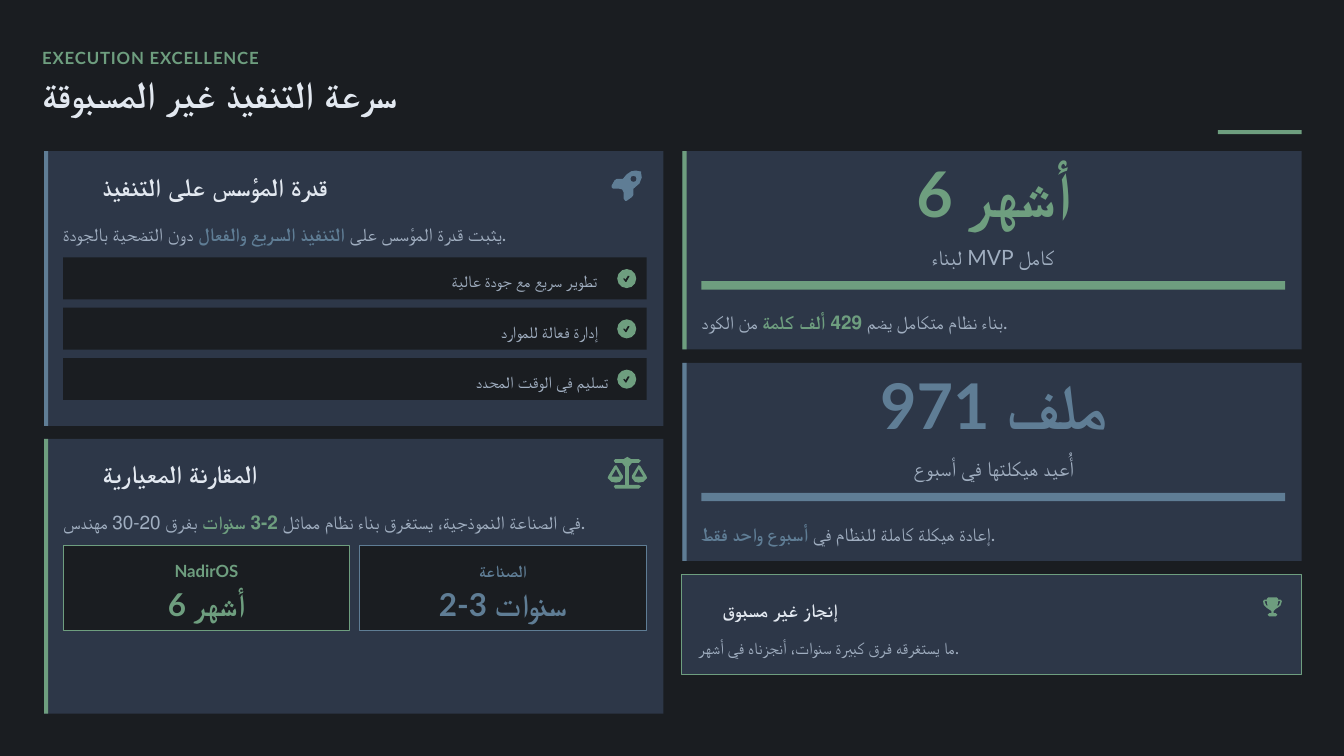
from pptx import Presentation
from pptx.dml.color import RGBColor
from pptx.enum.shapes import MSO_SHAPE as Shape
from pptx.enum.text import MSO_ANCHOR as Anchor, PP_ALIGN as Align
from pptx.util import Cm, Pt

BG, CARD, GREEN, BLUE = "1A1D21", "2D3748", "6E9E7F", "5F7D95"
WHITE, GREY = "E2E8F0", "A0AEC0"
LEFT_X, RIGHT_X, CARD_W = 1.48, 22.93, 20.81
PAD, INNER_W, TEXT_W = 0.64, 19.61, 19.94
UNIT = Cm(0.0254)  # one step of the icon grids


def mirror(points, width):
    return [(width - x, y) for x, y in points]


PAN = [(32, 28), (32, 25), (40, 12), (41, 11), (43, 12), (51, 25), (52, 28),
       (47, 33), (41, 34), (36, 33)]
PAN_HOLE = [(36, 26), (47, 26), (41, 16)]
HANDLE_HOLE = [(5, 5), (2, 5), (4, 10), (6, 12)]
ROCKET = [
    [(10, 26), (2, 26), (0, 24), (0, 22), (4, 15), (7, 13), (15, 13), (20, 7),
     (26, 3), (32, 2), (37, 3), (39, 3), (39, 5), (40, 11), (37, 19), (29, 26),
     (29, 34), (27, 37), (20, 42), (18, 42), (16, 39), (16, 31), (14, 27)],
    [(33, 13), (32, 10), (29, 9), (26, 10), (25, 13), (26, 16), (29, 17), (32, 16)],
]
SCALES = [
    [(31, 3), (41, 3), (44, 5), (41, 8), (32, 8), (28, 13), (28, 37), (41, 37),
     (44, 39), (41, 42), (10, 42), (8, 39), (10, 37), (23, 37), (23, 13), (19, 8),
     (10, 8), (8, 5), (10, 3), (21, 3), (26, 0)],
    PAN, PAN_HOLE, mirror(PAN, 52), mirror(PAN_HOLE, 52),
]
TROPHY = [
    [(7, 0), (18, 0), (20, 2), (20, 3), (23, 3), (25, 5), (23, 11), (19, 14),
     (17, 15), (14, 18), (14, 21), (17, 21), (19, 23), (17, 25), (8, 25), (6, 23),
     (8, 21), (11, 21), (11, 18), (8, 16), (5, 14), (1, 10), (0, 5), (2, 3),
     (5, 3), (5, 2)],
    HANDLE_HOLE, mirror(HANDLE_HOLE, 25),
]
TICK = [[(8, 13), (9, 12), (11, 14), (14, 9), (16, 9), (16, 10), (12, 17), (11, 17)]]


def rgb(color):
    return RGBColor.from_string(color)


def paint(sp, fill, line=None):
    sp.shadow.inherit = False
    sp.fill.solid()
    sp.fill.fore_color.rgb = rgb(fill)
    if line:
        sp.line.color.rgb = rgb(line)
        sp.line.width = Pt(1)
    else:
        sp.line.fill.background()


def add_box(s, x, y, w, h, fill, line=None, kind=Shape.RECTANGLE):
    sp = s.shapes.add_shape(kind, Cm(x), Cm(y), Cm(w), Cm(h))
    paint(sp, fill, line)


def add_icon(s, x, y, contours, color):
    """Draw closed contours, inner ones as holes, from a top-left corner."""
    (first_x, first_y), *rest = contours[0]
    fb = s.shapes.build_freeform(first_x, first_y, scale=UNIT)
    fb.add_line_segments(rest, close=True)
    for start, *points in contours[1:]:
        fb.move_to(*start)
        fb.add_line_segments(points, close=True)
    paint(fb.convert_to_shape(Cm(x), Cm(y)), color)


def add_text(s, x, y, w, h, runs, size, spacing, align=Align.LEFT, track=None):
    """Add one paragraph; runs are (text, color, bold)."""
    tf = s.shapes.add_textbox(Cm(x), Cm(y), Cm(w), Cm(h)).text_frame
    frame = dict(word_wrap=True, vertical_anchor=Anchor.MIDDLE, margin_left=0,
                 margin_right=0, margin_top=0, margin_bottom=0)
    for name, value in frame.items():
        setattr(tf, name, value)
    p = tf.paragraphs[0]
    p.alignment, p.line_spacing = align, spacing
    for text, color, bold in runs:
        r = p.add_run()
        r.text = text
        for name, value in dict(name="Lato", size=Pt(size), bold=bold).items():
            setattr(r.font, name, value)
        r.font.color.rgb = rgb(color)
        if track:
            r.font._element.set("spc", str(track))


def add_card(s, x, y, h, accent):
    add_box(s, x, y, CARD_W, h, CARD)
    add_box(s, x, y, 0.14, h, accent)


def add_sentence(s, x, y, accent, before, strong, after):
    runs = [(before, GREY, False), (strong, accent, True), (after, GREY, False)]
    add_text(s, x, y, TEXT_W, 1.02, runs, 18, 1.4)


def add_stat(s, y, accent, value, label, sentence):
    x = RIGHT_X
    add_card(s, x, y, 6.66, accent)
    add_text(s, x + 0.12, y + 0.56, 20.68, 2.11, [(value, accent, True)], 60, 0.8,
             Align.CENTER)
    add_text(s, x + 0.46, y + 2.96, 19.96, 1, [(label, GREY, False)], 20, 1.2,
             Align.CENTER)
    add_box(s, x + PAD, y + 4.37, INNER_W, 0.28, accent)
    add_sentence(s, x + PAD, y + 5.08, accent, *sentence)


def add_topic(s, y, bar, accent, icon, icon_x, heading, sentence):
    x = LEFT_X
    add_card(s, x, y, 9.23, bar)
    add_icon(s, icon_x, y + 0.6, icon, bar)
    add_text(s, x + 1.97, y + 0.56, 18.69, 1.12, [(heading, WHITE, True)], 24, 1.1)
    add_sentence(s, x + PAD, y + 2.11, accent, *sentence)


def add_check_row(s, y, text, w):
    add_box(s, LEFT_X + PAD, y, INNER_W, 1.41, BG)
    add_box(s, 20.74, y + 0.39, 0.64, 0.64, GREEN, kind=Shape.OVAL)
    add_icon(s, 20.74, y + 0.39, TICK, BG)
    add_text(s, 20.64 - w, y + 0.28, w, 0.84, [(text, GREY, False)], 16, 1.3)


def add_comparison(s, x, color, label, value):
    y = 18.34
    add_box(s, x, y, 9.63, 2.84, BG, color)
    add_text(s, x + 0.15, y + 0.3, 9.32, 0.84, [(label, color, True)], 16, 1.3,
             Align.CENTER)
    add_text(s, x + 0.03, y + 1.3, 9.55, 1.27, [(value, color, True)], 30, 1.0,
             Align.CENTER)


def add_header(s):
    add_text(s, 1.42, 1.42, 42.62, 0.84, [("EXECUTION EXCELLENCE", GREEN, True)],
             16, 1.3, track=80)
    add_text(s, 1.42, 2.54, 42.98, 1.42, [("سرعة التنفيذ غير المسبوقة", WHITE, True)],
             36, 0.9)
    add_box(s, 40.92, 4.37, 2.82, 0.14, GREEN)


def add_achievement(s):
    add_box(s, 22.89, 19.3, 20.85, 3.35, CARD, GREEN)
    add_icon(s, 42.44, 20.07, TROPHY, GREEN)
    add_text(s, 24.28, 19.89, 19.2, 0.99, [("إنجاز غير مسبوق", WHITE, True)], 18, 1.3)
    add_text(s, 23.47, 21.16, 19.96, 0.91,
             [("ما يستغرقه فرق كبيرة سنوات، أنجزناه في أشهر.", GREY, False)], 16, 1.4)


def main():
    prs = Presentation()
    prs.slide_width, prs.slide_height = Cm(45.16), Cm(25.4)
    s = prs.slides.add_slide(prs.slide_layouts[6])
    s.background.fill.solid()
    s.background.fill.fore_color.rgb = rgb(BG)

    add_header(s)
    add_stat(s, 5.08, GREEN, "6 أشهر", "لبناء MVP كامل",
             ("بناء نظام متكامل يضم ", "429 ألف كلمة", " من الكود."))
    add_stat(s, 12.19, BLUE, "971 ملف", "أُعيد هيكلتها في أسبوع",
             ("إعادة هيكلة كاملة للنظام في ", "أسبوع واحد فقط", "."))
    add_achievement(s)

    add_topic(s, 5.08, BLUE, BLUE, ROCKET, 20.55, "قدرة المؤسس على التنفيذ",
              ("يثبت قدرة المؤسس على ", "التنفيذ السريع والفعال", " دون التضحية بالجودة."))
    rows = [("تطوير سريع مع جودة عالية", 5.46), ("إدارة فعالة للموارد", 3.81),
            ("تسليم في الوقت المحدد", 4.65)]
    for i, (text, w) in enumerate(rows):
        add_check_row(s, 8.65 + 1.69 * i, text, w)

    add_topic(s, 14.75, GREEN, GREEN, SCALES, 20.42, "المقارنة المعيارية",
              ("في الصناعة النموذجية، يستغرق بناء نظام مماثل ", "2-3 سنوات",
               " بفرق 20-30 مهندس."))
    add_comparison(s, 12.09, BLUE, "الصناعة", "2-3 سنوات")
    add_comparison(s, 2.13, GREEN, "NadirOS", "6 أشهر")
    prs.save("out.pptx")


if __name__ == "__main__":
    main()
